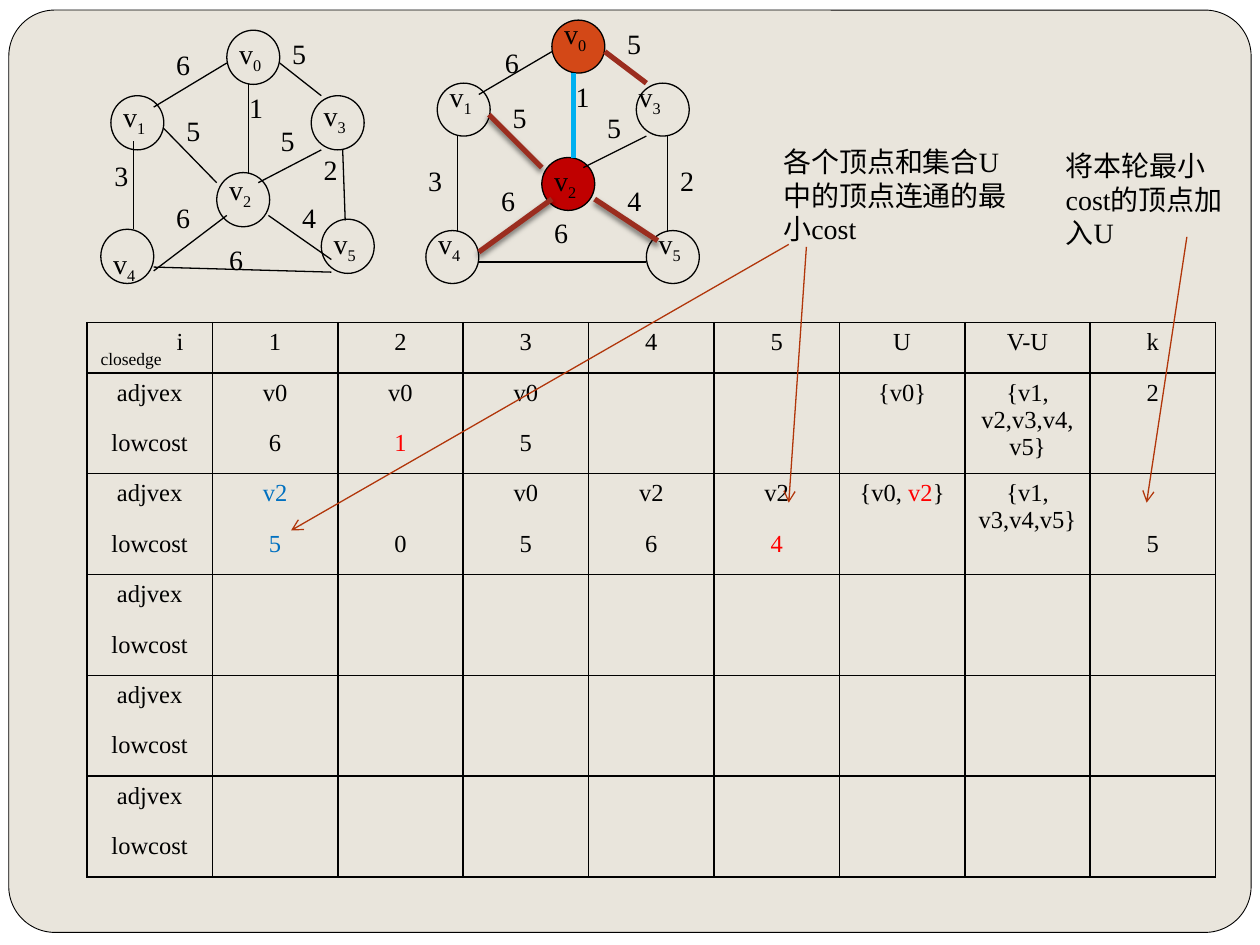
from dataclasses import dataclass
from typing import NamedTuple

from lxml.etree import SubElement
from pptx import Presentation
from pptx.dml.color import RGBColor
from pptx.enum.shapes import MSO_CONNECTOR, MSO_SHAPE
from pptx.enum.text import MSO_AUTO_SIZE, PP_ALIGN
from pptx.oxml.ns import qn
from pptx.util import Inches, Pt

COLORS = {
    "ink": "000000", "panel": "E9E5DC", "start": "D34817", "joined": "C00000",
    "candidate": "9B2D1F", "chosen": "00B0F0", "arrow": "B1360B",
    "red": "FF0000", "blue": "0070C0",
}
FONT = "Times New Roman"
NO_GRID_STYLE = "{2D5ABB26-0587-4C30-8999-92F81FD0307C}"


class Span(NamedTuple):
    text: str
    color: str = "ink"


class Label(NamedTuple):
    text: str
    left: float
    top: float
    width: float = 0.5


class Node(NamedTuple):
    left: float
    top: float
    label: Label
    fill: str | None = None


class Edge(NamedTuple):
    x1: float
    y1: float
    x2: float
    y2: float
    color: str = "ink"
    width: float = 0.75
    shadow: bool = False
    arrow: bool = False


@dataclass
class Graph:
    node_height: float
    nodes: list[Node]
    edges: list[Edge]
    weights: list[Label]


FULL_GRAPH = Graph(
    node_height=0.43,
    nodes=[
        Node(1.8, 0.24, Label("v0", 1.8, 0.24, 0.67)),
        Node(0.88, 0.76, Label("v1", 0.88, 0.74, 0.67)),
        Node(1.72, 1.37, Label("v2", 1.72, 1.32, 0.67)),
        Node(2.47, 0.76, Label("v3", 2.47, 0.73, 0.67)),
        Node(0.8, 1.82, Label("v4", 0.8, 1.91, 0.67)),
        Node(2.55, 1.74, Label("v5", 2.55, 1.75, 0.67)),
    ],
    edges=[
        Edge(1.22, 0.85, 1.8, 0.5), Edge(1.06, 1.12, 1.06, 1.82),
        Edge(2.22, 0.5, 2.55, 0.76), Edge(1.22, 2.12, 2.63, 2.16),
        Edge(2.72, 1.19, 2.74, 1.75), Edge(1.22, 2.15, 1.8, 1.71),
        Edge(2.13, 1.71, 2.63, 2.06), Edge(1.3, 1.02, 1.72, 1.45),
        Edge(2.55, 1.19, 2.05, 1.45), Edge(1.97, 0.67, 1.97, 1.37),
    ],
    weights=[
        Label("2", 2.47, 1.16), Label("6", 1.3, 0.33, 0.58),
        Label("5", 2.22, 0.24, 0.67), Label("5", 1.38, 0.85, 0.42),
        Label("1", 1.88, 0.67), Label("5", 2.13, 0.93),
        Label("3", 0.81, 1.21), Label("6", 1.3, 1.54),
        Label("6", 1.72, 1.88), Label("4", 2.3, 1.54, 0.58),
    ],
)
CURRENT_GRAPH = Graph(
    node_height=0.42,
    nodes=[
        Node(4.38, 0.16, Label("v0", 4.38, 0.08, 0.67), "start"),
        Node(3.47, 0.66, Label("v1", 3.47, 0.58)),
        Node(4.3, 1.25, Label("v2", 4.3, 1.25, 0.67), "joined"),
        Node(5.05, 0.66, Label("v3", 4.97, 0.58, 0.67)),
        Node(3.38, 1.83, Label("v4", 3.38, 1.75, 0.47)),
        Node(5.13, 1.83, Label("v5", 5.13, 1.75, 0.67)),
    ],
    edges=[
        Edge(3.8, 0.75, 4.38, 0.41), Edge(3.63, 1.08, 3.63, 1.83),
        Edge(4.8, 0.41, 5.13, 0.66, "candidate", 3),
        Edge(3.8, 2.08, 5.13, 2.08), Edge(5.3, 1.08, 5.3, 1.83),
        Edge(3.8, 2, 4.38, 1.58, "candidate", 3, shadow=True),
        Edge(4.72, 1.58, 5.22, 1.91, "candidate", 3, shadow=True),
        Edge(3.88, 0.91, 4.3, 1.33, "candidate", 3, shadow=True),
        Edge(5.13, 1.08, 4.63, 1.33),
        Edge(4.55, 0.58, 4.55, 1.25, "chosen", 3),
    ],
    weights=[
        Label("6", 3.91, 0.31, 0.36), Label("5", 4.88, 0.16, 0.67),
        Label("5", 3.97, 0.75, 0.42), Label("1", 4.47, 0.58),
        Label("5", 4.72, 0.83), Label("3", 3.3, 1.25),
        Label("6", 3.88, 1.41), Label("6", 4.3, 1.66),
        Label("4", 4.88, 1.41, 0.58), Label("2", 5.3, 1.25),
    ],
)
NOTES = [
    Label("各个顶点和集合U中的顶点连通的最小cost", 6.12, 1.1, 2.07),
    Label("将本轮最小cost的顶点加入U", 8.36, 1.13, 1.64),
]
NOTE_ARROWS = [
    Edge(6.26, 1.94, 2.31, 4.21, "arrow", arrow=True),
    Edge(6.4, 1.96, 6.26, 3.99, "arrow", arrow=True),
    Edge(9.42, 1.88, 9.1, 3.99, "arrow", arrow=True),
]
EMPTY_ROUND = [["adjvex"] + [""] * 8, ["lowcost"] + [""] * 8]
TABLE_ROWS = [
    ["i", "1", "2", "3", "4", "5", "U", "V-U", "k"],
    ["adjvex", "v0", "v0", "v0", "", "", "{v0}", "{v1, v2,v3,v4,v5}", "2"],
    ["lowcost", "6", [Span("1", "red")], "5", "", "", "", "", ""],
    ["adjvex", [Span("v2", "blue")], "", "v0", "v2", "v2",
     [Span("{v0, "), Span("v2", "red"), Span("}")], "{v1, v3,v4,v5}", ""],
    ["lowcost", [Span("5", "blue")], "0", "5", "6", [Span("4", "red")], "", "", "5"],
] + EMPTY_ROUND * 3


def rgb(name: str) -> RGBColor:
    return RGBColor.from_string(COLORS[name])


def set_font(font, size: float) -> None:
    font.name, font.size = FONT, Pt(size)
    font.color.rgb = rgb("ink")


def add_outlined_shape(slide, kind, left, top, width, height, fill=None, line_width=0.75):
    shape = slide.shapes.add_shape(kind, Inches(left), Inches(top), Inches(width), Inches(height))
    shape.shadow.inherit = False
    if fill:
        shape.fill.solid()
        shape.fill.fore_color.rgb = rgb(fill)
    else:
        shape.fill.background()
    shape.line.color.rgb = rgb("ink")
    shape.line.width = Pt(line_width)
    return shape


def add_label(slide, label: Label, height=0.37, size=16, wrap=True, subscript=False) -> None:
    """Write a text box; with subscript, all but the first letter is lowered."""
    box = slide.shapes.add_textbox(
        Inches(label.left), Inches(label.top), Inches(label.width), Inches(height))
    frame = box.text_frame
    frame.word_wrap = wrap
    frame.auto_size = MSO_AUTO_SIZE.SHAPE_TO_FIT_TEXT
    paragraph = frame.paragraphs[0]
    set_font(paragraph.font, size)
    if subscript:
        paragraph.add_run().text = label.text[0]
        index = paragraph.add_run()
        index.text = label.text[1:]
        index.font._element.set("baseline", "-25000")
    else:
        paragraph.add_run().text = label.text


def add_edge(slide, edge: Edge) -> None:
    connector = slide.shapes.add_connector(
        MSO_CONNECTOR.STRAIGHT, Inches(edge.x1), Inches(edge.y1), Inches(edge.x2), Inches(edge.y2))
    connector.line.color.rgb = rgb(edge.color)
    connector.line.width = Pt(edge.width)
    properties = connector._element.spPr
    if edge.arrow:
        SubElement(properties.find(qn("a:ln")), qn("a:tailEnd"), type="arrow")
    effects = SubElement(properties, qn("a:effectLst"))
    if edge.shadow:
        shadow = SubElement(effects, qn("a:outerShdw"), blurRad=str(Pt(3)), dist=str(Pt(2)),
                            dir="5400000", rotWithShape="0")
        color = SubElement(shadow, qn("a:srgbClr"), val=COLORS["ink"])
        SubElement(color, qn("a:alpha"), val="50000")


def add_graph(slide, graph: Graph) -> None:
    for node in graph.nodes:
        add_outlined_shape(slide, MSO_SHAPE.OVAL, node.left, node.top, 0.42,
                           graph.node_height, node.fill)
    for edge in graph.edges:
        add_edge(slide, edge)
    for weight in graph.weights:
        add_label(slide, weight)
    for node in graph.nodes:
        add_label(slide, node.label, subscript=True)


def set_borders(cell, open_side: str) -> None:
    """Rule every side of a cell except open_side ("T", "B" or none)."""
    properties = cell._tc.get_or_add_tcPr()
    for side in "LRTB":
        line = SubElement(properties, qn(f"a:ln{side}"), w=str(Pt(1)))
        if side == open_side:
            SubElement(line, qn("a:noFill"))
        else:
            fill = SubElement(line, qn("a:solidFill"))
            SubElement(fill, qn("a:srgbClr"), val=COLORS["ink"])


def add_closedge_table(slide) -> None:
    row_count, column_count = len(TABLE_ROWS), len(TABLE_ROWS[0])
    table = slide.shapes.add_table(row_count, column_count, Inches(0.69), Inches(2.56),
                                   Inches(8.96), Inches(0.4 * row_count)).table
    table.first_row = table.horz_banding = False
    table._tbl.tblPr.find(qn("a:tableStyleId")).text = NO_GRID_STYLE
    merged = {(row, 7) for row in range(1, 5)}
    for row, values in enumerate(TABLE_ROWS):
        for column, value in enumerate(values):
            cell = table.cell(row, column)
            is_open = row > 0 and (row, column) not in merged
            set_borders(cell, "BT"[(row + 1) % 2] if is_open else "")
            cell.fill.background()
            paragraph = cell.text_frame.paragraphs[0]
            paragraph.alignment = PP_ALIGN.CENTER
            set_font(paragraph.font, 14)
            for span in [Span(value)] if isinstance(value, str) else value:
                if span.text:
                    run = paragraph.add_run()
                    run.text = span.text
                    if span.color != "ink":
                        run.font.color.rgb = rgb(span.color)
    for row in (1, 3):
        table.cell(row, 7).merge(table.cell(row + 1, 7))
    corner = table.cell(0, 0)
    corner.margin_right = Inches(0.23)
    corner.text_frame.paragraphs[0].alignment = PP_ALIGN.RIGHT


def main() -> None:
    presentation = Presentation()
    presentation.slide_width, presentation.slide_height = Inches(10), Inches(7.5)
    slide = presentation.slides.add_slide(presentation.slide_layouts[6])
    panel = add_outlined_shape(slide, MSO_SHAPE.ROUNDED_RECTANGLE, 0.07, 0.08, 9.86, 7.32,
                               "panel", 0.5)
    panel.adjustments[0] = 0.05
    add_closedge_table(slide)
    add_graph(slide, FULL_GRAPH)
    add_graph(slide, CURRENT_GRAPH)
    add_label(slide, Label("closedge", 0.7, 2.71, 0.69), height=0.27, size=10, wrap=False)
    for arrow in NOTE_ARROWS:
        add_edge(slide, arrow)
    for note in NOTES:
        add_label(slide, note, height=0.91)
    presentation.save("out.pptx")


if __name__ == "__main__":
    main()
